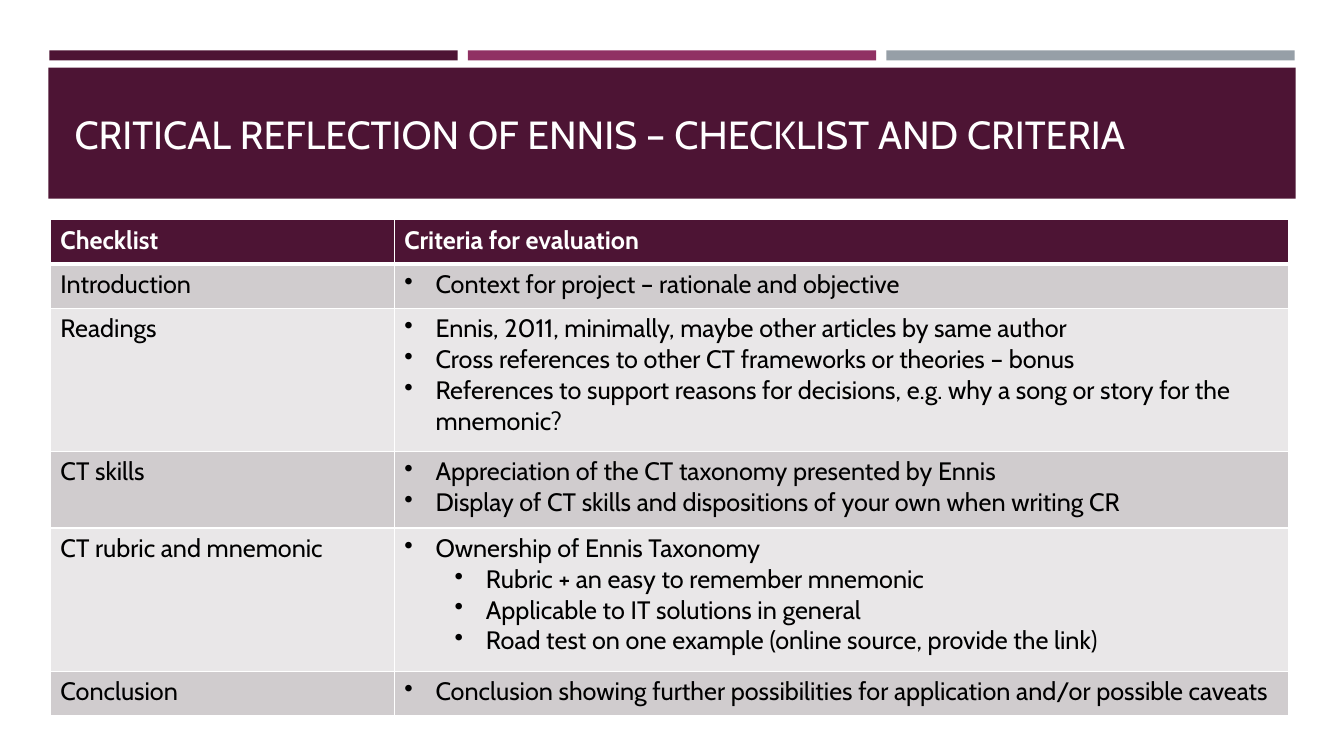
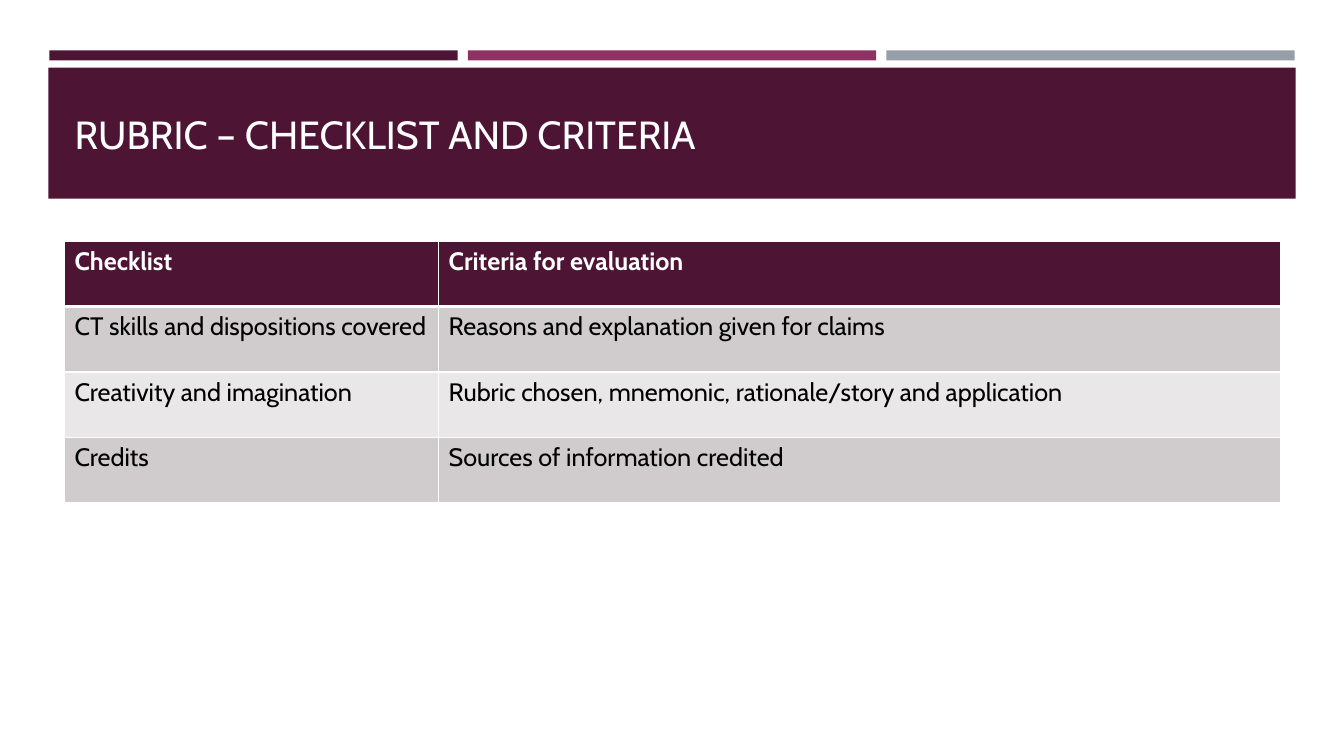
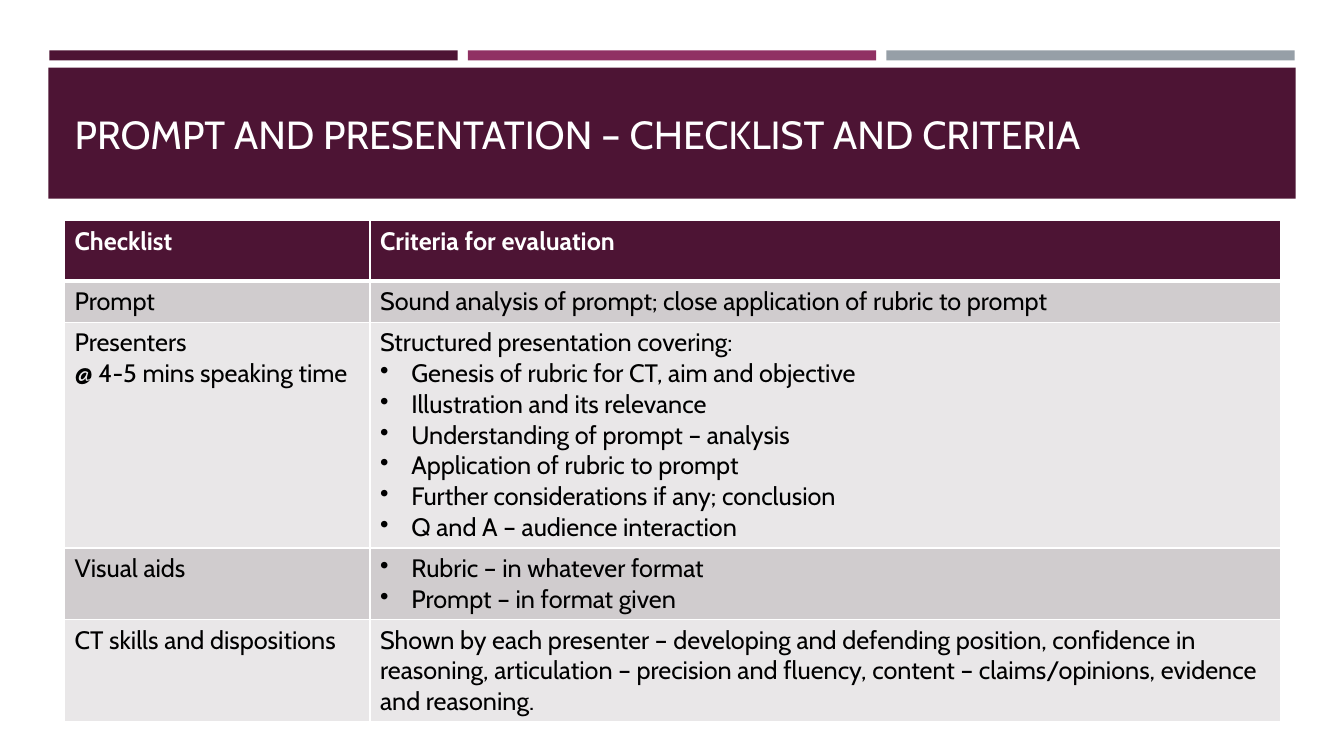
import pptx
import pptx.util
import pptx.dml.color
import pptx.enum.shapes
import pptx.enum.text
import pptx.oxml
import pptx.oxml.ns

Inches = pptx.util.Inches
Pt = pptx.util.Pt

# Shared style
FONT = "Cabin"
PLUM, MAGENTA, GREY = "4D1434", "903163", "969FA7"
BAND_DARK, BAND_LIGHT = "D0CCCE", "E9E7E8"
WHITE, BLACK = "FFFFFF", "000000"
MARGIN, GAP, STRIPE_WIDTH = 0.49, 0.1, 4.05
TITLE_LEFT, TITLE_WIDTH = 0.64, 12.06
BULLET_HANG, LEVEL_STEP = 0.31, 0.5


def colour(value):
    return pptx.dml.color.RGBColor.from_string(value)


def add_xml(parent, markup):
    namespace = pptx.oxml.ns.nsdecls("a")
    parent.append(pptx.oxml.parse_xml(markup.replace(" ", f" {namespace} ", 1)))


# Slide content: each leading asterisk in a line is one bullet level
HEADER = (["Checklist"], ["Criteria for evaluation"])
SLIDES = [
    {
        "title": "CRITICAL REFLECTION OF ENNIS – CHECKLIST AND CRITERIA",
        "corner": (0.5, 2.18),
        "columns": (3.41, 8.87),
        "heights": (0.44, 0.44, 1.42, 0.76, 1.42, 0.44),
        "rows": [
            (["Introduction"],
             ["*Context for project – rationale and objective"]),
            (["Readings"],
             ["*Ennis, 2011, minimally, maybe other articles by same author",
              "*Cross references to other CT frameworks or theories – bonus",
              "*References to support reasons for decisions, e.g. why a song "
              "or story for the mnemonic?"]),
            (["CT skills"],
             ["*Appreciation of the CT taxonomy presented by Ennis",
              "*Display of CT skills and dispositions of your own when writing CR"]),
            (["CT rubric and mnemonic"],
             ["*Ownership of Ennis Taxonomy",
              "**Rubric + an easy to remember mnemonic",
              "**Applicable to IT solutions in general",
              "**Road test on one example (online source, provide the link)"]),
            (["Conclusion"],
             ["*Conclusion showing further possibilities for application "
              "and/or possible caveats"]),
        ],
    },
    {
        "title": "RUBRIC – CHECKLIST AND CRITERIA",
        "corner": (TITLE_LEFT, 2.39),
        "columns": (3.71, 8.35),
        "heights": (0.65,) * 4,
        "rows": [
            (["CT skills and dispositions covered"],
             ["Reasons and explanation given for claims"]),
            (["Creativity and imagination"],
             ["Rubric chosen, mnemonic, rationale/story and application"]),
            (["Credits"], ["Sources of information credited"]),
        ],
    },
    {
        "title": "PROMPT AND PRESENTATION – CHECKLIST AND CRITERIA",
        "corner": (TITLE_LEFT, 2.19),
        "columns": (3.03, 9.03),
        "heights": (0.6, 0.41, 2.23, 0.71, 1.01),
        "rows": [
            (["Prompt"],
             ["Sound analysis of prompt; close application of rubric to prompt"]),
            (["Presenters", "@ 4-5 mins speaking time"],
             ["Structured presentation covering:",
              "*Genesis of rubric for CT, aim and objective",
              "*Illustration and its relevance",
              "*Understanding of prompt – analysis",
              "*Application of rubric to prompt",
              "*Further considerations if any; conclusion",
              "*Q and A – audience interaction"]),
            (["Visual aids"],
             ["*Rubric – in whatever format", "*Prompt – in format given"]),
            (["CT skills and dispositions"],
             ["Shown by each presenter – developing and defending position, "
              "confidence in reasoning, articulation – precision and fluency, "
              "content – claims/opinions, evidence and reasoning."]),
        ],
    },
]

deck = pptx.Presentation()
deck.slide_width, deck.slide_height = Inches(13.33), Inches(7.5)
layout = deck.slide_layouts.get_by_name("Title Only")

# Three stripes above the title band
bands = [
    (MARGIN + i * (STRIPE_WIDTH + GAP), 0.5, STRIPE_WIDTH, 0.1, fill)
    for i, fill in enumerate((PLUM, MAGENTA, GREY))
]
bands.append((0.48, 0.67, 12.37, 1.3, PLUM))

for content in SLIDES:
    page = deck.slides.add_slide(layout)
    title = page.shapes.title

    # Stripes and title band, kept behind the title
    for left, top, width, height, fill in bands:
        band = page.shapes.add_shape(
            pptx.enum.shapes.MSO_SHAPE.RECTANGLE,
            Inches(left), Inches(top), Inches(width), Inches(height))
        band.shadow.inherit = False
        band.fill.solid()
        band.fill.fore_color.rgb = colour(fill)
        band.line.fill.background()
        title.element.addprevious(band.element)

    # Title
    title.left, title.top = Inches(TITLE_LEFT), Inches(0.77)
    title.width, title.height = Inches(TITLE_WIDTH), Inches(1.11)
    title.text_frame.text = content["title"]
    title.text_frame.vertical_anchor = pptx.enum.text.MSO_ANCHOR.MIDDLE
    para = title.text_frame.paragraphs[0]
    para.alignment = pptx.enum.text.PP_ALIGN.LEFT
    para.font.name, para.font.size = FONT, Pt(28)
    para.font.color.rgb = colour(WHITE)

    # Table frame
    rows = [HEADER] + content["rows"]
    left, top = content["corner"]
    table = page.shapes.add_table(
        len(rows), len(HEADER), Inches(left), Inches(top),
        Inches(sum(content["columns"])), Inches(sum(content["heights"]))).table
    table.horz_banding = False
    for column, width in zip(table.columns, content["columns"]):
        column.width = Inches(width)
    for row, height in zip(table.rows, content["heights"]):
        row.height = Inches(height)

    # Table cells
    for r, row_texts in enumerate(rows):
        is_header = r == 0
        fill = PLUM if is_header else (BAND_LIGHT, BAND_DARK)[r % 2]
        borders = {"L": 1, "R": 1, "T": 3 if r == 1 else 1, "B": 3 if is_header else 1}
        for c, lines in enumerate(row_texts):
            cell = table.cell(r, c)
            properties = cell._tc.get_or_add_tcPr()
            for side, points in borders.items():
                add_xml(properties,
                        f'<a:ln{side} w="{Pt(points)}"><a:solidFill>'
                        f'<a:srgbClr val="{WHITE}"/></a:solidFill></a:ln{side}>')
            cell.fill.solid()
            cell.fill.fore_color.rgb = colour(fill)
            cell.text_frame.text = "\n".join(line.lstrip("*") for line in lines)
            for para, line in zip(cell.text_frame.paragraphs, lines):
                para.font.name, para.font.size = FONT, Pt(18)
                para.font.bold = is_header
                para.font.color.rgb = colour(WHITE if is_header else BLACK)
                depth = line.count("*")
                if depth:
                    para.level = depth - 1
                    indent = para._p.get_or_add_pPr()
                    indent.set("marL", str(Inches(BULLET_HANG + LEVEL_STEP * para.level)))
                    indent.set("indent", str(-Inches(BULLET_HANG)))
                    bullet = pptx.oxml.parse_xml(
                        f'<a:buChar {pptx.oxml.ns.nsdecls("a")} char="•"/>')
                    indent.insert(0, bullet)

deck.save("out.pptx")
